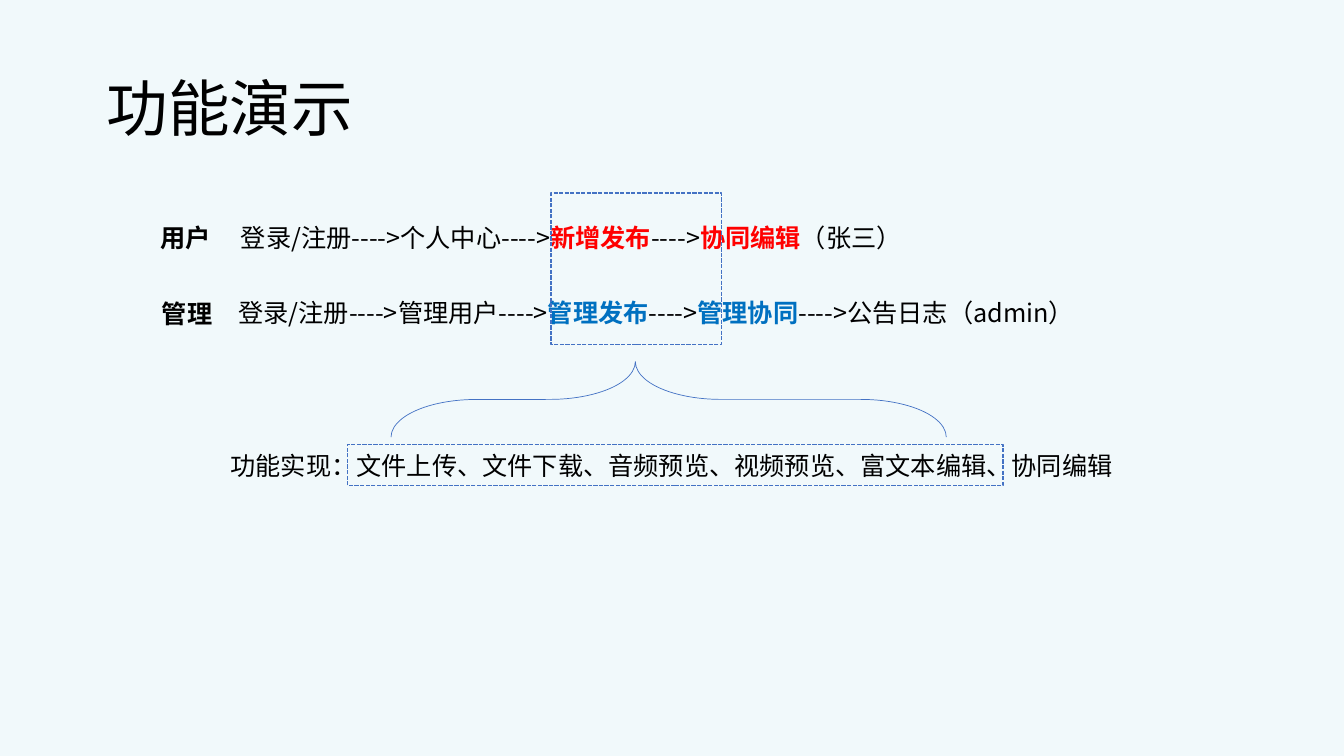
import pptx
import pptx.dml.color
import pptx.enum.dml
import pptx.enum.shapes
import pptx.enum.text
import pptx.oxml
import pptx.oxml.ns
import pptx.util

FONT = "Noto Sans CJK SC"
COLORS = {"back": "F1F9FB", "text": "000000", "user": "FF0000",
          "admin": "0070C0", "line": "4472C4"}
CELL = pptx.util.Inches(7.5) / 9
LINE_H = 0.48
ARROW = "---->"
SHAPES = pptx.enum.shapes.MSO_SHAPE

FLOWS = [
    ("用户", (1.79, 2.59), (2.75, 2.59, 8.69), "user",
     ["登录/注册", "个人中心"], "新增发布", "协同编辑", "（张三）"),
    ("管理", (1.81, 3.49), (2.72, 3.48, 12.97), "admin",
     ["登录/注册", "管理用户"], "管理发布", "管理协同", ARROW + "公告日志（admin）"),
]


def rgb(name):
    """Return a named colour."""
    return pptx.dml.color.RGBColor.from_string(COLORS[name])


def cells(*counts):
    """Turn counts of square grid cells into lengths."""
    return [pptx.util.Emu(round(n * CELL)) for n in counts]


def add_text(slide, box, parts, size=18, align=None):
    """Add one line of text from (text, colour, bold) parts."""
    tf = slide.shapes.add_textbox(*cells(*box)).text_frame
    tf.word_wrap = True
    tf.auto_size = pptx.enum.text.MSO_AUTO_SIZE.SHAPE_TO_FIT_TEXT
    p = tf.paragraphs[0]
    p.alignment = align
    for text, color, bold in parts:
        r = p.add_run()
        r.text = text
        r.font.size = pptx.util.Pt(size)
        r.font.bold = bold
        r.font.name = FONT
        r.font.color.rgb = rgb(color)
        ea = pptx.oxml.parse_xml(
            f'<a:ea {pptx.oxml.ns.nsdecls("a")} typeface="{FONT}"/>')
        r.font._element.append(ea)


def add_outline(slide, kind, box, width, dash=None):
    """Add an unfilled preset shape with a coloured line."""
    sp = slide.shapes.add_shape(kind, *cells(*box))
    sp.shadow.inherit = False
    sp.fill.background()
    sp.line.color.rgb = rgb("line")
    sp.line.width = pptx.util.Pt(width)
    sp.line.dash_style = dash
    return sp


def add_flow(slide, label, label_at, flow_box, color, steps, publish, edit, tail):
    """Add a role label and its chain of steps."""
    add_text(slide, (*label_at, 0.98, LINE_H), [(label, "text", True)])
    start = "".join(step + ARROW for step in steps)
    add_text(slide, (*flow_box, LINE_H), [
        (start, "text", False), (publish, color, True), (ARROW, "text", False),
        (edit, color, True), (tail, "text", False)])


def main():
    """Build the slide and save it."""
    prs = pptx.Presentation()
    prs.slide_width, prs.slide_height = cells(16, 9)
    slide = prs.slides.add_slide(prs.slide_layouts[6])
    slide.background.fill.solid()
    slide.background.fill.fore_color.rgb = rgb("back")

    add_text(slide, (1.15, 0.77, 8, 1.01), [("功能演示", "text", False)], 44)
    for flow in FLOWS:
        add_flow(slide, *flow)
    features = "功能实现：文件上传、文件下载、音频预览、视频预览、富文本编辑、协同编辑"
    add_text(slide, (1.87, 5.3, 12.25, LINE_H), [(features, "text", False)],
             align=pptx.enum.text.PP_ALIGN.CENTER)

    brace = add_outline(slide, SHAPES.LEFT_BRACE, (7.51, 1.45, 0.9, 6.61), 0.5)
    brace.rotation = 90
    brace.adjustments[0] = 1.13
    brace.adjustments[1] = 0.56
    dash = pptx.enum.dml.MSO_LINE.SQUARE_DOT
    for box in [(6.56, 2.3, 2.03, 1.8), (4.14, 5.29, 7.8, 0.49)]:
        add_outline(slide, SHAPES.RECTANGLE, box, 1, dash)

    prs.save("out.pptx")


if __name__ == "__main__":
    main()
